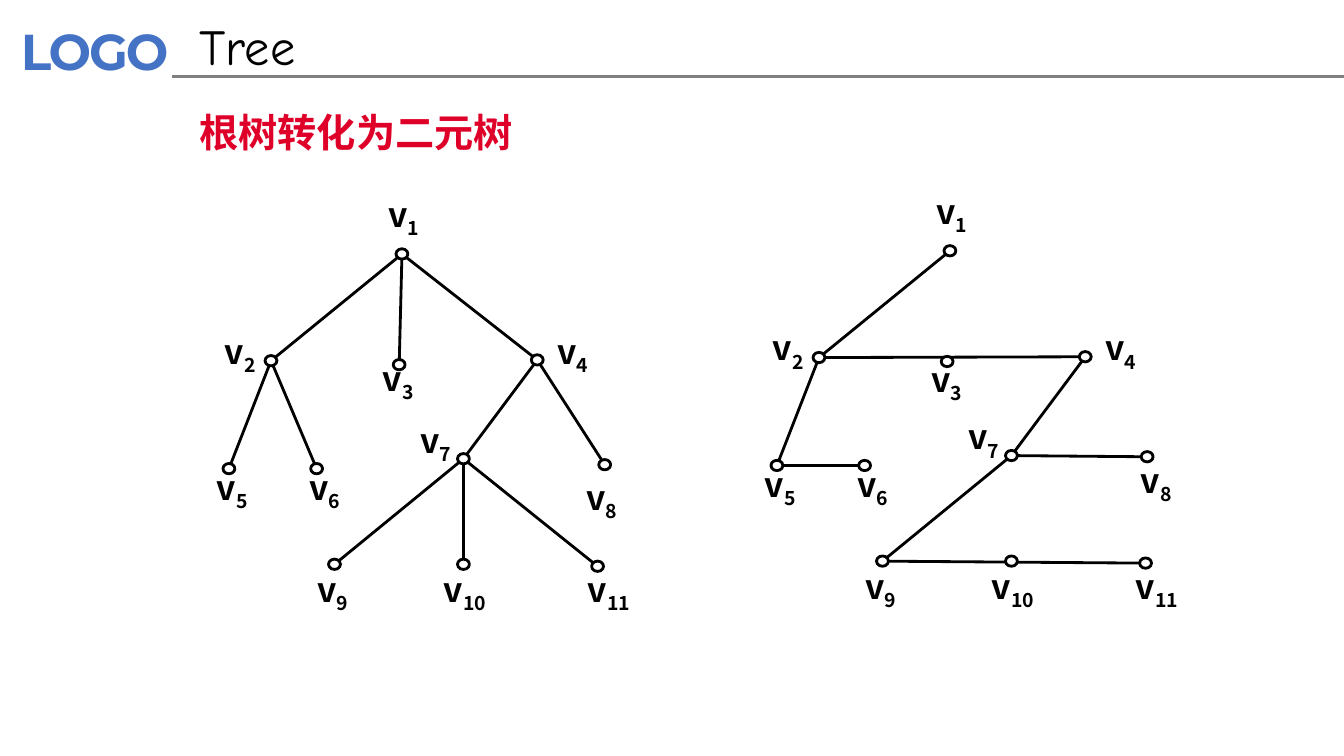
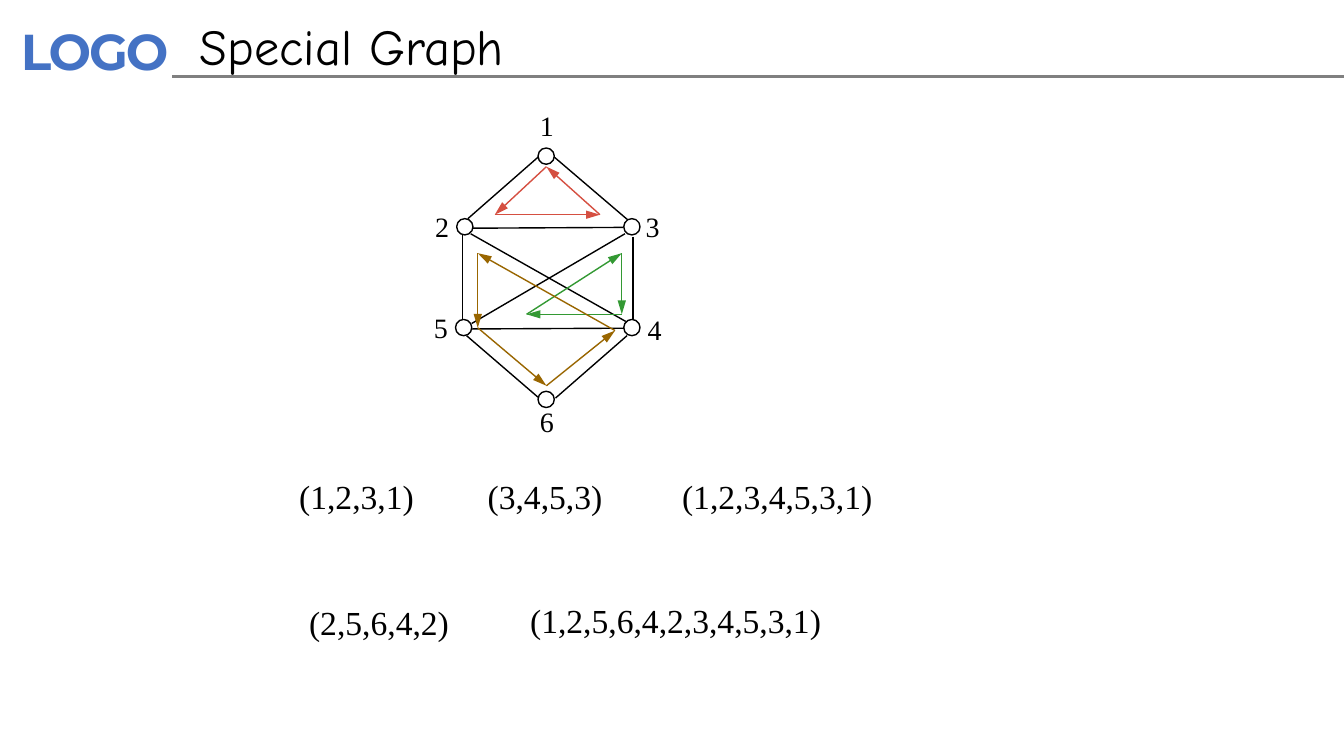
import pptx
import pptx.dml.color
import pptx.enum.shapes
import pptx.enum.text
import pptx.oxml
import pptx.oxml.ns
import pptx.util
from lxml import etree

Cm = pptx.util.Cm
Pt = pptx.util.Pt
RGB = pptx.dml.color.RGBColor.from_string
KIND = pptx.enum.shapes.MSO_SHAPE
ALIGN = pptx.enum.text.PP_ALIGN
FIT = pptx.enum.text.MSO_AUTO_SIZE
ANCHOR = pptx.enum.text.MSO_ANCHOR
qn = pptx.oxml.ns.qn

COLORS = {
    "ink": "000000", "paper": "FFFFFF", "logo": "4472C4", "rule": "808080",
    "head": "DF0029", "red": "D54F41", "green": "339933", "brown": "996600",
}
SANS = "Noto Sans CJK SC"
SERIF = "Times New Roman"


def write(shape, text, font, size, color="ink", bold=False, sub="",
          align=ALIGN.LEFT, inset=(0.25, 0.13), wrap=True, fit=FIT.SHAPE_TO_FIT_TEXT):
    """Fill a shape with one line of text, ending in an optional subscript."""
    frame = shape.text_frame
    frame.text = text
    frame.word_wrap = wrap
    frame.auto_size = fit
    frame.margin_left = frame.margin_right = Cm(inset[0])
    frame.margin_top = frame.margin_bottom = Cm(inset[1])
    line = frame.paragraphs[0]
    line.alignment = align
    if sub:
        run = line.add_run()
        run.text = sub
        run._r.get_or_add_rPr().set("baseline", "-25000")
    for run in line.runs:
        run.font.name = font
        run.font.size = Pt(size)
        run.font.bold = bold
        run.font.color.rgb = RGB(COLORS[color])
        etree.SubElement(run._r.get_or_add_rPr(), qn("a:ea"), typeface=font)


def draw(shapes, start, end, color="ink", width=2, arrow=False):
    """Draw a straight line between two points given in centimetres."""
    line = shapes.add_connector(pptx.enum.shapes.MSO_CONNECTOR.STRAIGHT,
                                *(Cm(v) for v in (*start, *end)))
    line.line.color.rgb = RGB(COLORS[color])
    line.line.width = Pt(width)
    if arrow:
        etree.SubElement(line.line._get_or_add_ln(), qn("a:tailEnd"),
                         type="triangle", w="med", len="lg")
    etree.SubElement(line._element.spPr, qn("a:effectLst"))
    return line


deck = pptx.Presentation()
deck.slide_width, deck.slide_height = Cm(33.87), Cm(19.05)

# Shared layout: title place, logo text and rule
layout = deck.slide_layouts[5]
for holder in list(layout.placeholders):
    if holder.placeholder_format.idx:
        holder.element.getparent().remove(holder.element)
base = layout.placeholders[0]
base.left, base.top, base.width, base.height = Cm(4.78), Cm(0.25), Cm(21.9), Cm(1.8)

slides = []
for name in ("Tree", "Special Graph"):
    slide = deck.slides.add_slide(layout)
    title = slide.shapes.title
    title.left, title.top, title.width, title.height = (
        base.left, base.top, base.width, base.height)
    write(title, name, "Comic Neue", 36, fit=FIT.NONE)
    title.text_frame.vertical_anchor = ANCHOR.MIDDLE
    slides.append(slide)
tree, graph = slides

logo = tree.shapes.add_textbox(Cm(0.2), Cm(0.33), Cm(4.72), Cm(1.88))
write(logo, "LOGO", "Montserrat", 36, "logo", True, inset=(0.33, 0.18))
logo.text_frame.paragraphs[0].runs[0]._r.get_or_add_rPr().set("spc", "-150")
rule = draw(tree.shapes, (4.34, 1.93), (33.87, 1.93), "rule")
for part in (logo, rule):
    layout.shapes.element.append(part.element)

# Slide 1: rooted tree and its binary form
head = tree.shapes.add_textbox(Cm(4.78), Cm(2.59), Cm(19.56), Cm(1.45))
write(head, "根树转化为二元树", SANS, 28, "head", True)

# Centre of each node, and top left corner of its label
nodes = {
    1: (10.13, 6.4), 2: (6.83, 9.09), 3: (10.06, 9.19), 4: (13.54, 9.07),
    5: (5.77, 11.81), 6: (7.98, 11.81), 7: (11.68, 11.56), 8: (15.24, 11.71),
    9: (8.43, 14.22), 10: (11.68, 14.22), 11: (15.06, 14.27),
}
tags = {
    1: (9.55, 4.88), 2: (5.44, 8.33), 3: (9.42, 9.02), 4: (13.82, 8.33),
    5: (5.23, 11.76), 6: (7.57, 11.76), 7: (10.36, 10.57), 8: (14.55, 12.01),
    9: (7.77, 14.33), 10: (11.1, 14.33), 11: (14.73, 14.33),
}
rooted = [(1, 2), (1, 3), (1, 4), (2, 5), (2, 6), (4, 7), (4, 8),
          (7, 9), (7, 10), (7, 11)]
binary = [(1, 2), (2, 4), (2, 5), (5, 6), (4, 7), (7, 8), (7, 9), (9, 11)]
trees = [
    (0, 0, rooted, nodes, tags),
    (13.81, -0.08, binary, nodes | {8: (15.1, 11.59)},
     tags | {3: (9.43, 9.12), 8: (14.71, 11.66)}),
]
for dx, dy, edges, spots, labels in trees:
    group = tree.shapes.add_group_shape().shapes
    spots = {key: (x + dx, y + dy) for key, (x, y) in spots.items()}
    for start, end in edges:
        draw(group, spots[start], spots[end])
    for x, y in spots.values():
        dot = group.add_shape(KIND.OVAL, Cm(x - 0.15), Cm(y - 0.13), Cm(0.3), Cm(0.26))
        dot.shadow.inherit = False
        dot.fill.solid()
        dot.fill.fore_color.rgb = RGB(COLORS["paper"])
        dot.line.color.rgb = RGB(COLORS["ink"])
        dot.line.width = Pt(2)
    for key, (x, y) in labels.items():
        tag = group.add_textbox(Cm(x + dx), Cm(y + dy), Cm(1.24), Cm(1.02))
        write(tag, "v", SANS, 24, bold=True, sub=str(key),
              align=ALIGN.CENTER, inset=(0, 0))

# Slide 2: graph with its cycles
group = graph.shapes.add_group_shape().shapes
points = [  # corner of the node, corner of its number
    ((13.56, 3.73), (13.36, 2.74)), ((11.51, 5.51), (10.72, 5.28)),
    ((15.72, 5.51), (16.03, 5.28)), ((15.72, 8.05), (16.08, 7.87)),
    ((11.48, 8.05), (10.69, 7.82)), ((13.56, 9.86), (13.36, 10.19)),
]
for count, ((x, y), (left, top)) in enumerate(points, 1):
    dot = group.add_shape(KIND.OVAL, Cm(x), Cm(y), Cm(0.41), Cm(0.41))
    dot.shadow.inherit = False
    dot.fill.background()
    dot.line.color.rgb = RGB(COLORS["ink"])
    dot.line.width = Pt(1)
    tag = group.add_textbox(Cm(left), Cm(top), Cm(0.84), Cm(0.84))
    write(tag, str(count), SERIF, 20, align=ALIGN.CENTER, inset=(0, 0))

edges = [
    ((11.76, 8.46), (13.56, 10.01)), ((15.8, 8.46), (14, 10.03)),
    ((13.56, 3.96), (11.79, 5.51)), ((13.97, 3.96), (15.82, 5.54)),
    ((11.86, 5.89), (15.77, 8.1)), ((15.75, 5.89), (11.89, 8.15)),
    ((11.91, 5.75), (15.7, 5.73)), ((11.66, 5.92), (11.66, 8.05)),
    ((11.89, 8.29), (15.72, 8.27)), ((15.95, 5.97), (15.95, 8.03)),
]
for start, end in edges:
    draw(group, start, end, width=1)

cycles = {
    "red": [(13.77, 4.2), (12.47, 5.41), (15.12, 5.41)],
    "green": [(15.67, 6.38), (15.67, 7.92), (13.27, 7.92)],
    "brown": [(12.04, 6.38), (12.04, 8.26), (13.77, 9.72), (15.5, 8.33)],
}
for color, turns in cycles.items():
    for start, end in zip(turns, turns[1:] + turns[:1]):
        draw(group, start, end, color, 1, arrow=True)

walks = [
    ("(1,2,3,1)", 7.29, 11.86, 3.43), ("(3,4,5,3)", 12.04, 11.86, 3.43),
    ("(1,2,3,4,5,3,1)", 16.94, 11.86, 5.36), ("(2,5,6,4,2)", 7.54, 15.04, 4.06),
    ("(1,2,5,6,4,2,3,4,5,3,1)", 13.11, 14.99, 7.92),
]
for text, left, top, width in walks:
    walk = graph.shapes.add_textbox(Cm(left), Cm(top), Cm(width), Cm(1.27))
    write(walk, text, SERIF, 24, wrap=False)

deck.save("out.pptx")
